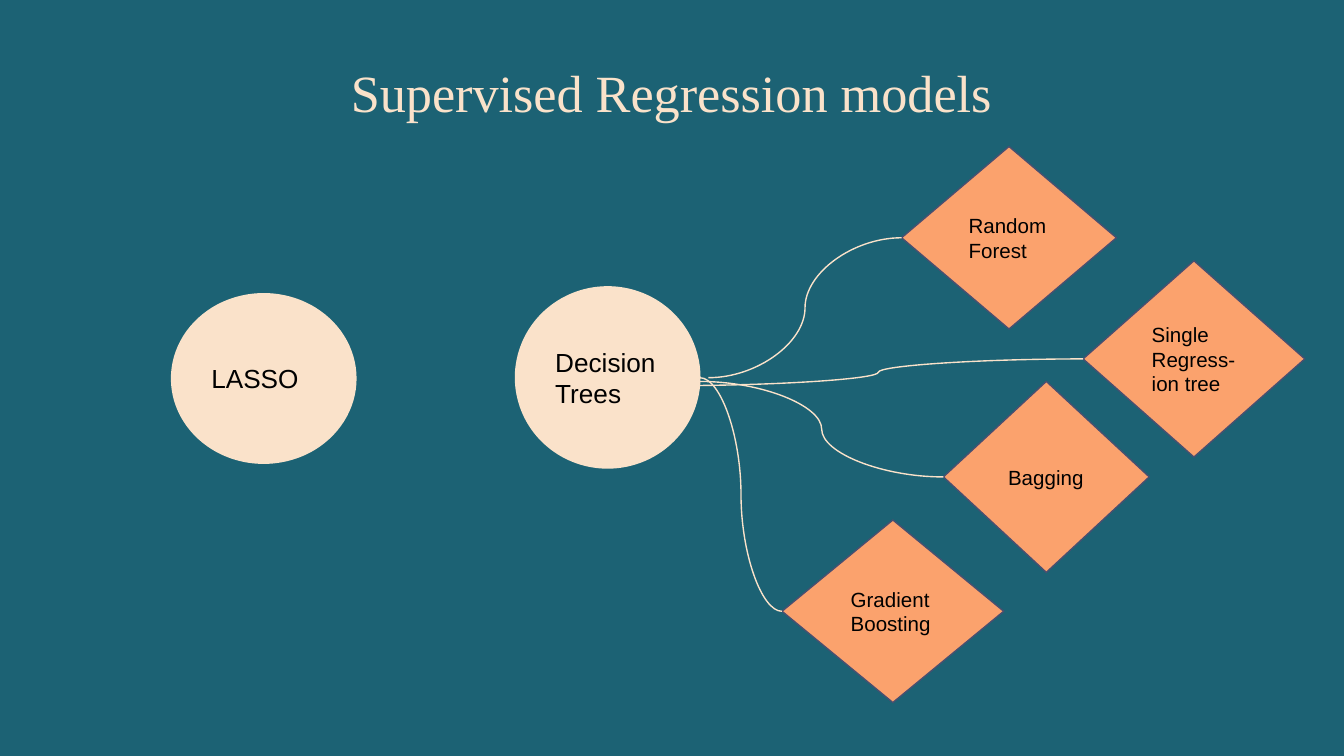
from pptx import Presentation
from pptx.dml.color import RGBColor
from pptx.enum.shapes import MSO_CONNECTOR, MSO_SHAPE
from pptx.enum.text import MSO_ANCHOR, MSO_AUTO_SIZE, PP_ALIGN
from pptx.oxml.ns import qn
from pptx.util import Cm, Pt
from lxml.etree import SubElement

TEAL, CREAM, ORANGE, SLATE, BLACK = "1C6274", "FAE2CA", "FBA26D", "494F70", "000000"


def color(value):
    return RGBColor.from_string(value)


class ModelPage:
    """Holds the style and the current slide."""

    heading_font, label_font = "Times New Roman", "Arial"
    inset = Cm(0.25)
    line_width = Pt(0.75)

    def __init__(self, deck):
        self.page = deck.slides.add_slide(deck.slide_layouts[5])
        self.page.background.fill.solid()
        self.page.background.fill.fore_color.rgb = color(TEAL)

    def set_text(self, box, text, font, size, ink, align, anchor):
        frame = box.text_frame
        frame.text = text
        frame.word_wrap = True
        frame.auto_size = MSO_AUTO_SIZE.NONE
        frame.vertical_anchor = anchor
        frame.margin_left = frame.margin_right = self.inset
        frame.margin_top = frame.margin_bottom = self.inset
        para = frame.paragraphs[0]
        para.alignment = align
        para.font.name = font
        para.font.size = Pt(size)
        para.font.color.rgb = color(ink)

    def title(self, text, left, top, width, height):
        box = self.page.shapes.title
        box.left, box.top, box.width, box.height = Cm(left), Cm(top), Cm(width), Cm(height)
        self.set_text(box, text, self.heading_font, 28, CREAM, PP_ALIGN.CENTER, MSO_ANCHOR.TOP)

    def node(self, kind, text, place, size, fill, outline=None):
        box = self.page.shapes.add_shape(kind, *(Cm(value) for value in place))
        box.shadow.inherit = False
        box.fill.solid()
        box.fill.fore_color.rgb = color(fill)
        if outline:
            box.line.color.rgb = color(outline)
            box.line.width = self.line_width
        else:
            box.line.fill.background()
        self.set_text(box, text, self.label_font, size, BLACK, PP_ALIGN.LEFT, MSO_ANCHOR.MIDDLE)
        return box

    def circle(self, text, *place):
        return self.node(MSO_SHAPE.OVAL, text, place, 14, CREAM)

    def diamond(self, text, *place):
        return self.node(MSO_SHAPE.DIAMOND, text, place, 11, ORANGE, SLATE)

    def curve(self, start, target):
        """Curve from a point to the left corner of the target."""
        left, top = start
        line = self.page.shapes.add_connector(
            MSO_CONNECTOR.CURVE, Cm(left), Cm(top),
            target.left, target.top + target.height // 2)
        line.line.color.rgb = color(CREAM)
        line.line.width = self.line_width
        SubElement(line._element.spPr, qn("a:effectLst"))


def main():
    deck = Presentation()
    deck.slide_width, deck.slide_height = Cm(25.4), Cm(14.29)
    models = ModelPage(deck)
    models.title("Supervised Regression models", 5.41, 0.89, 14.55, 1.6)

    # Model families
    models.circle("LASSO", 3.23, 5.54, 3.51, 3.23)
    models.circle("Decision Trees", 9.73, 5.41, 3.51, 3.45)

    # Kinds of decision tree
    forest = models.diamond("Random Forest", 17.04, 2.77, 4.06, 3.45)
    single = models.diamond("Single Regress-ion tree", 20.47, 4.93, 4.19, 3.71)
    bagging = models.diamond("Bagging", 17.83, 7.21, 3.89, 3.61)
    boosting = models.diamond("Gradient Boosting", 14.78, 9.83, 4.19, 3.45)

    # Branches from the decision trees
    models.curve((13.39, 7.14), forest)
    models.curve((13.23, 7.14), boosting)
    models.curve((13.23, 7.21), bagging)
    models.curve((12.73, 7.29), single)

    deck.save("out.pptx")


if __name__ == "__main__":
    main()
